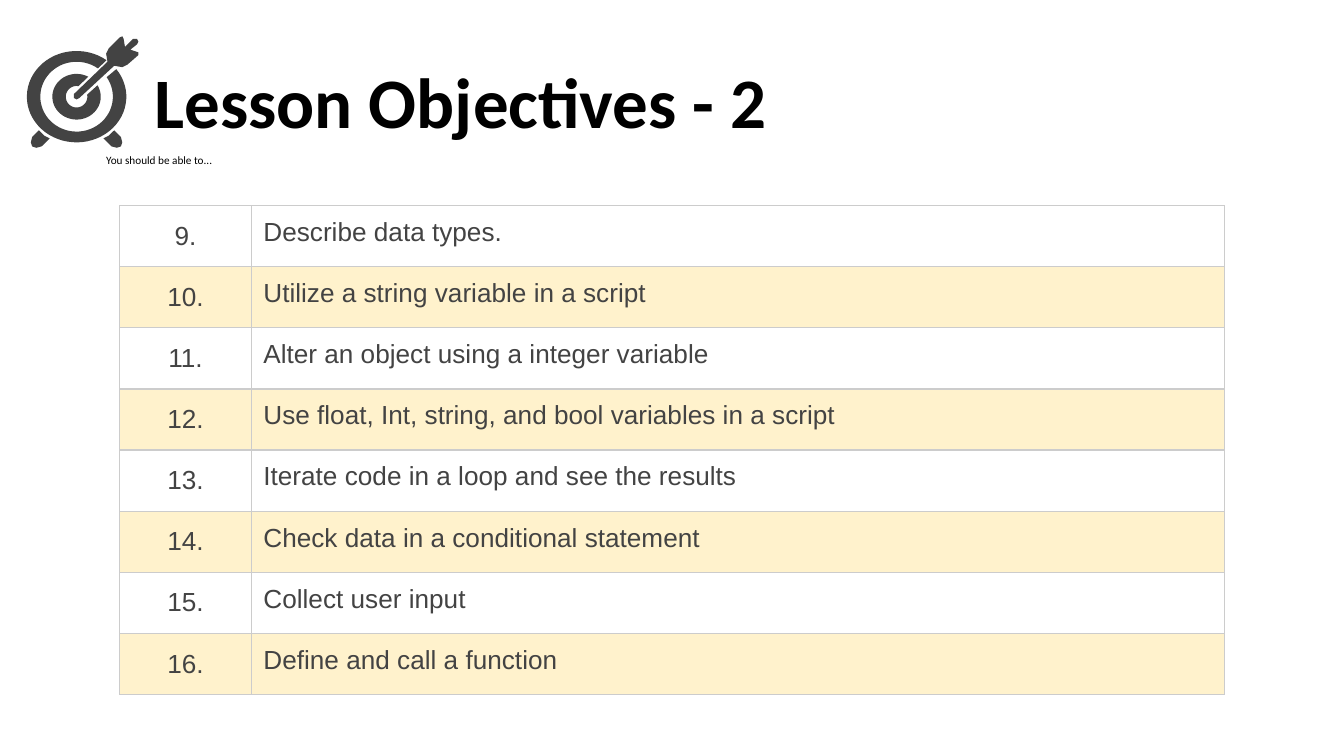
from math import cos, radians, sin

from pptx import Presentation
from pptx.dml.color import RGBColor as RGB
from pptx.enum.text import MSO_ANCHOR as ANCHOR, MSO_AUTO_SIZE as FIT, PP_ALIGN as ALIGN
from pptx.oxml import parse_xml
from pptx.oxml.ns import nsdecls
from pptx.util import Inches, Pt

HUES = {"ink": "000000", "gray": "434343", "white": "FFFFFF",
        "cream": "FFF2CC", "rule": "CCCCCC"}
FONTS = {
    "title": {"name": "Calibri", "size": Pt(38), "bold": True},
    "lead": {"name": "Calibri", "size": Pt(6), "bold": False},
    "cell": {"name": "Arial", "size": Pt(14), "bold": False},
}
PARAS = {
    "title": {"alignment": ALIGN.LEFT, "line_spacing": 0.9, "space_after": Pt(6)},
    "lead": {"alignment": ALIGN.LEFT, "line_spacing": 0.9, "space_before": Pt(10)},
}
GOALS = [
    "Describe data types.",
    "Utilize a string variable in a script",
    "Alter an object using a integer variable",
    "Use float, Int, string, and bool variables in a script",
    "Iterate code in a loop and see the results",
    "Check data in a conditional statement",
    "Collect user input",
    "Define and call a function",
]
FIRST = 9
RINGS = [
    ((0.37, 0.34, 53, 397), (0.27, 0.26, 394, 54)),
    ((0.18, 0.17, 61, 390), (0.08, 0.08, 371, 80)),
]
FOOT = [(-0.28, 0.25), (-0.33, 0.3), (-0.34, 0.34), (-0.33, 0.37), (-0.3, 0.38),
        (-0.26, 0.37), (-0.2, 0.31), (-0.24, 0.29)]
DART = [(0.34, -0.45), (0.32, -0.44), (0.24, -0.36), (0.22, -0.32), (0.23, -0.26),
        (-0.02, -0.02), (-0.02, 0.01), (0, 0.02), (0.02, 0.01), (0.28, -0.23),
        (0.34, -0.22), (0.38, -0.24), (0.46, -0.31), (0.46, -0.33), (0.4, -0.35),
        (0.45, -0.39), (0.46, -0.41), (0.45, -0.43), (0.42, -0.43), (0.36, -0.37),
        (0.35, -0.43)]


def color(key):
    """Look up a palette colour."""
    return RGB.from_string(HUES[key])


def apply(item, form):
    """Set every attribute held in a format dict."""
    for key, val in form.items():
        setattr(item, key, val)


def style(font, kind, hue):
    """Format a font by its role."""
    apply(font, FONTS[kind])
    font.color.rgb = color(hue)


def add_text(hold, box, text, kind, anchor):
    """Move a placeholder to its box and fill it with one line."""
    apply(hold, dict(zip(("left", "top", "width", "height"), map(Inches, box))))
    frame = hold.text_frame
    frame.text = text
    apply(frame, {"auto_size": FIT.NONE, "vertical_anchor": anchor, "word_wrap": True})
    para = frame.paragraphs[0]
    apply(para, PARAS[kind])
    style(para.runs[0].font, kind, "ink")
    props = para._p.get_or_add_pPr()
    props.set("marL", "0")
    props.set("indent", "0")
    props.append(parse_xml(f"<a:buNone {nsdecls('a')}/>"))


def arc(rx, ry, start, end):
    """Return points along an ellipse between two angles."""
    turns = [radians(start + (end - start) * i / 60) for i in range(61)]
    return [(rx * cos(t), -ry * sin(t)) for t in turns]


def add_icon(slide, x, y):
    """Draw the target and its dart around a centre point."""
    group = slide.shapes.add_group_shape()
    parts = [arc(*outer) + arc(*inner) for outer, inner in RINGS]
    parts += [FOOT, [(-dx, dy) for dx, dy in FOOT], DART]
    for part in parts:
        spots = [(Inches(x + dx), Inches(y + dy)) for dx, dy in part]
        path = group.shapes.build_freeform(*spots[0])
        path.add_line_segments(spots[1:], close=True)
        shape = path.convert_to_shape()
        shape.shadow.inherit = False
        shape.fill.solid()
        shape.fill.fore_color.rgb = color("gray")
        shape.line.fill.background()


def add_edges(cell):
    """Rule all four sides of a cell."""
    props = cell._tc.get_or_add_tcPr()
    for side in "LRTB":
        props.append(parse_xml(
            f'<a:ln{side} {nsdecls("a")} w="{Pt(0.75)}"><a:solidFill>'
            f'<a:srgbClr val="{HUES["rule"]}"/></a:solidFill></a:ln{side}>'))


def add_goals(slide, box, split):
    """Build the numbered table of goals."""
    x, y, w, h = map(Inches, box)
    table = slide.shapes.add_table(len(GOALS), 2, x, y, w, h).table
    apply(table, {"first_row": False, "horz_banding": False})
    for col, wide in zip(table.columns, (split, box[2] - split)):
        col.width = Inches(wide)
    pad = dict.fromkeys(("margin_left", "margin_right", "margin_top", "margin_bottom"),
                        Inches(0.09))
    looks = [(ALIGN.CENTER, ANCHOR.MIDDLE), (ALIGN.LEFT, ANCHOR.TOP)]
    for i, goal in enumerate(GOALS):
        for j, text in enumerate((f"{FIRST + i}.", goal)):
            cell = table.cell(i, j)
            cell.text = text
            apply(cell, pad)
            para = cell.text_frame.paragraphs[0]
            para.alignment, cell.vertical_anchor = looks[j]
            style(para.runs[0].font, "cell", "gray")
            add_edges(cell)
            cell.fill.solid()
            cell.fill.fore_color.rgb = color("cream" if i % 2 else "white")


def main():
    """Build and save the lesson slide."""
    deck = Presentation()
    deck.slide_width, deck.slide_height = Inches(10), Inches(10 * 9 / 16)
    slide = deck.slides.add_slide(deck.slide_layouts[1])
    add_text(slide.shapes.title, (1.05, 0.35, 8.62, 0.77),
             "Lesson Objectives - 2", "title", ANCHOR.BOTTOM)
    add_text(slide.placeholders[1], (0.69, 1.1, 8.62, 0.34),
             "You should be able to...", "lead", ANCHOR.TOP)
    add_icon(slide, 0.57, 0.72)
    add_goals(slide, (0.89, 1.53, 8.22, 3.64), 0.98)
    deck.save("out.pptx")


if __name__ == "__main__":
    main()
